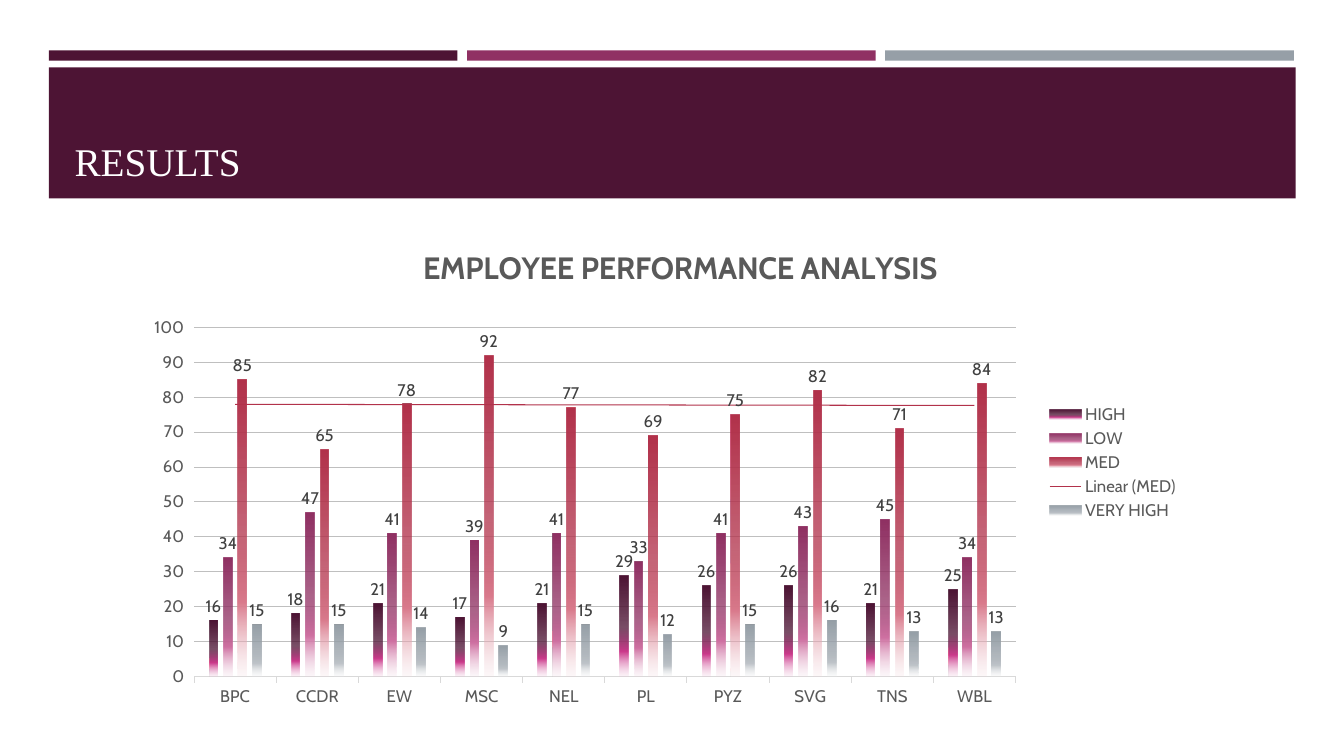
from dataclasses import dataclass

from lxml import etree
from pptx import Presentation
from pptx.chart.data import CategoryChartData
from pptx.dml.color import RGBColor
from pptx.enum.chart import XL_CHART_TYPE, XL_LABEL_POSITION, XL_LEGEND_POSITION, XL_TICK_MARK
from pptx.enum.shapes import MSO_SHAPE
from pptx.enum.text import MSO_ANCHOR
from pptx.oxml import parse_xml
from pptx.oxml.ns import qn
from pptx.util import Cm, Pt

COLUMNS = XL_CHART_TYPE.COLUMN_CLUSTERED
OUTSIDE_END = XL_LABEL_POSITION.OUTSIDE_END
RIGHT = XL_LEGEND_POSITION.RIGHT
TICK_OUT = XL_TICK_MARK.OUTSIDE
RECTANGLE = MSO_SHAPE.RECTANGLE
BOTTOM = MSO_ANCHOR.BOTTOM

BODY_FONT = "Cabin"
HEADING_FONT = "Times New Roman"
PLUM, MAGENTA, CRIMSON, SLATE = "4D1434", "903163", "B2324B", "969FA7"
AXIS_TEXT, LABEL_TEXT = "595959", "404040"
GRID, AXIS_LINE = "BFBFBF", "D9D9D9"

NAMESPACES = (
    'xmlns:a="http://schemas.openxmlformats.org/drawingml/2006/main" '
    'xmlns:c="http://schemas.openxmlformats.org/drawingml/2006/chart"'
)


@dataclass(frozen=True)
class Band:
    left: float
    top: float
    width: float
    height: float
    color: str


@dataclass(frozen=True)
class Rating:
    name: str
    counts: tuple[int, ...]
    color: str
    middle: str
    pale: str


BAR_LEFT, BAR_PITCH = 1.23, 10.54
BANDS = [
    Band(BAR_LEFT + i * BAR_PITCH, 1.27, 10.3, 0.26, color)
    for i, color in enumerate((PLUM, MAGENTA, SLATE))
] + [Band(BAR_LEFT, 1.7, 31.42, 3.3, PLUM)]

UNITS = ("BPC", "CCDR", "EW", "MSC", "NEL", "PL", "PYZ", "SVG", "TNS", "WBL")
RATINGS = (
    Rating("HIGH", (16, 18, 21, 17, 21, 29, 26, 26, 21, 25), PLUM, "CC3A8C", "EEBDD9"),
    Rating("LOW", (34, 47, 41, 39, 41, 33, 41, 43, 45, 34), MAGENTA, "CF71A2", "EFD0E0"),
    Rating("MED", (85, 65, 78, 92, 77, 69, 75, 82, 71, 84), CRIMSON, "DA7B8D", "F3D3D9"),
    Rating("VERY HIGH", (15, 15, 14, 9, 15, 12, 15, 16, 13, 13), SLATE, "C0C5CA", "EAECED"),
)
TREND_RATING = "MED"


def rgb(color: str) -> RGBColor:
    return RGBColor.from_string(color)


def style_font(font, size: float, color: str, face: str = BODY_FONT, bold: bool = False) -> None:
    font.size = Pt(size)
    font.name = face
    font.bold = bold
    font.color.rgb = rgb(color)


def draw_band(slide, band: Band) -> None:
    shape = slide.shapes.add_shape(
        RECTANGLE, Cm(band.left), Cm(band.top), Cm(band.width), Cm(band.height)
    )
    shape.shadow.inherit = False
    shape.fill.solid()
    shape.fill.fore_color.rgb = rgb(band.color)
    shape.line.fill.background()


def draw_heading(slide, text: str) -> None:
    box = slide.shapes.add_textbox(Cm(1.63), Cm(1.96), Cm(30.63), Cm(2.82))
    frame = box.text_frame
    frame.word_wrap = True
    frame.vertical_anchor = BOTTOM
    run = frame.paragraphs[0].add_run()
    run.text = text
    style_font(run.font, 28, "FFFFFF", HEADING_FONT)


def manual_layout(**settings: object) -> etree._Element:
    fields = "".join(f'<c:{key} val="{value}"/>' for key, value in settings.items())
    return parse_xml(
        f"<c:layout {NAMESPACES}><c:manualLayout>{fields}</c:manualLayout></c:layout>"
    )


def set_layout(parent: etree._Element, position: int, layout: etree._Element) -> None:
    for old in parent.findall(qn("c:layout")):
        parent.remove(old)
    parent.insert(position, layout)


def fade(series, rating: Rating) -> None:
    stops = (
        (0, rating.color, 100),
        (51, rating.color, 75),
        (75, rating.middle, 100),
        (100, rating.pale, 15),
    )
    stop_xml = "".join(
        f'<a:gs pos="{place * 1000}"><a:srgbClr val="{color}">'
        f'<a:alpha val="{opacity * 1000}"/></a:srgbClr></a:gs>'
        for place, color, opacity in stops
    )
    gradient = parse_xml(
        f"<a:gradFill {NAMESPACES}><a:gsLst>{stop_xml}</a:gsLst>"
        '<a:lin ang="5400000" scaled="0"/></a:gradFill>'
    )
    series.format.line.fill.background()
    series._element.find(qn("c:spPr")).insert(0, gradient)


def add_trend(series, color: str) -> None:
    trend = parse_xml(
        f"<c:trendline {NAMESPACES}><c:spPr><a:ln w=\"{Pt(0.75)}\"><a:solidFill>"
        f'<a:srgbClr val="{color}"/></a:solidFill></a:ln></c:spPr>'
        '<c:trendlineType val="linear"/><c:dispRSqr val="0"/><c:dispEq val="0"/></c:trendline>'
    )
    series._element.find(qn("c:cat")).addprevious(trend)


def style_series(series, rating: Rating) -> None:
    fade(series, rating)
    labels = series.data_labels
    labels.show_value = True
    labels.position = OUTSIDE_END
    style_font(labels.font, 12, LABEL_TEXT)
    if rating.name == TREND_RATING:
        add_trend(series, rating.color)


def style_axes(chart) -> None:
    for axis in (chart.category_axis, chart.value_axis):
        axis.major_tick_mark = TICK_OUT
        style_font(axis.tick_labels.font, 12, AXIS_TEXT)
    unit_line = chart.category_axis.format.line
    unit_line.color.rgb = rgb(AXIS_LINE)
    unit_line.width = Pt(0.75)
    counts = chart.value_axis
    counts.minimum_scale, counts.maximum_scale, counts.major_unit = 0, 100, 10
    counts.format.line.fill.background()
    counts.major_gridlines.format.line.color.rgb = rgb(GRID)
    counts.major_gridlines.format.line.width = Pt(0.75)


def draw_performance(slide) -> None:
    data = CategoryChartData()
    data.categories = UNITS
    for rating in RATINGS:
        data.add_series(rating.name, rating.counts)
    chart = slide.shapes.add_chart(
        COLUMNS, Cm(3.89), Cm(5.46), Cm(26.09), Cm(12.4), data
    ).chart
    style_font(chart.font, 10, "000000")

    # Chart title
    chart.has_title = True
    run = chart.chart_title.text_frame.paragraphs[0].add_run()
    run.text = "EMPLOYEE PERFORMANCE ANALYSIS"
    style_font(run.font, 22, AXIS_TEXT, bold=True)
    set_layout(
        chart.chart_title._element, 1, manual_layout(xMode="edge", yMode="edge", x=0.25, y=0.05)
    )

    # Legend and axes
    chart.has_legend = True
    chart.legend.position = RIGHT
    chart.legend.include_in_layout = False
    style_font(chart.legend.font, 12, AXIS_TEXT)
    style_axes(chart)

    # Columns
    plot = chart.plots[0]
    plot.vary_by_categories = False
    plot.gap_width, plot.overlap = 355, -70
    for series, rating in zip(plot.series, RATINGS):
        style_series(series, rating)
    plot_area = chart._chartSpace.find(f".//{qn('c:plotArea')}")
    set_layout(plot_area, 0, manual_layout(
        layoutTarget="inner", xMode="edge", yMode="edge", x=0.033, y=0.225, w=0.798, h=0.71
    ))


def main() -> None:
    deck = Presentation()
    deck.slide_width, deck.slide_height = Cm(33.87), Cm(19.05)
    slide = deck.slides.add_slide(deck.slide_layouts[6])
    for band in BANDS:
        draw_band(slide, band)
    draw_heading(slide, "RESULTS")
    draw_performance(slide)
    deck.save("out.pptx")


if __name__ == "__main__":
    main()
